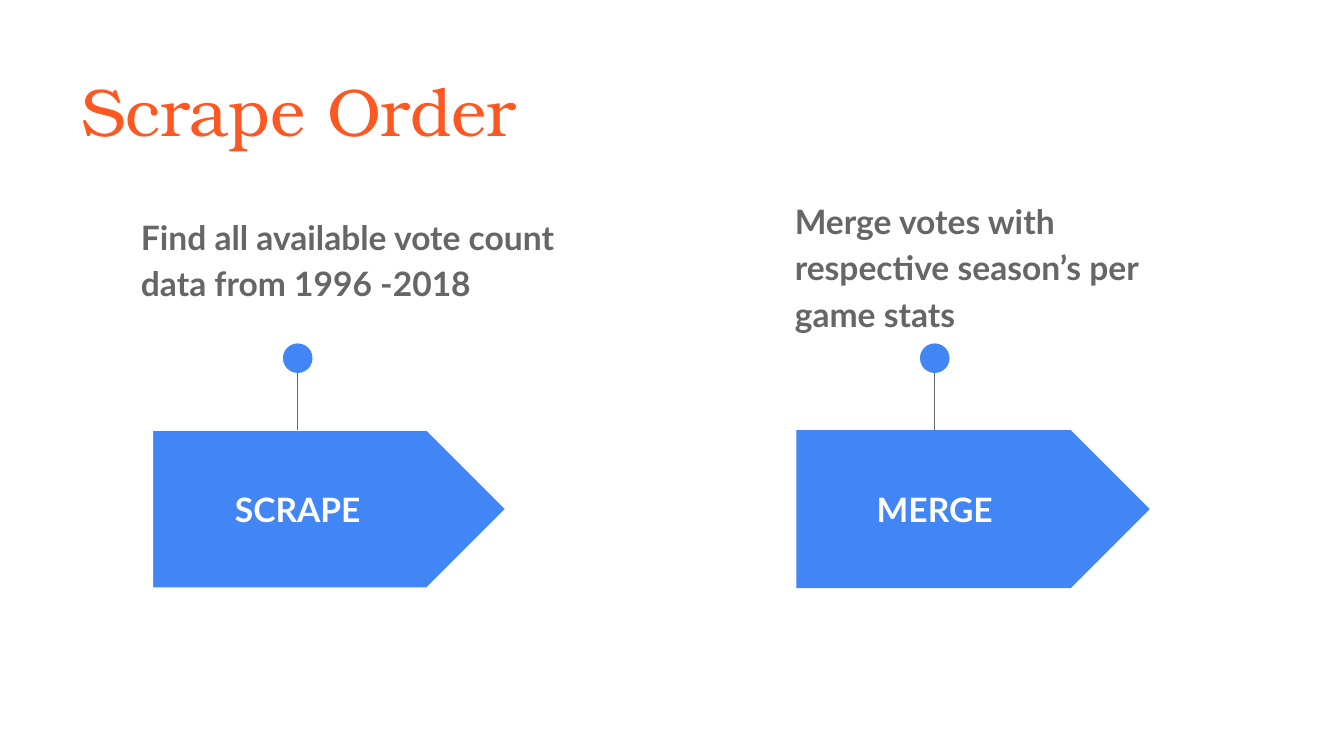
"""Build the Scrape Order slide: two arrow steps, each with a pinned note."""

from dataclasses import dataclass
from typing import Optional

from pptx import Presentation
from pptx.dml.color import RGBColor
from pptx.enum.shapes import MSO_CONNECTOR as Connector, MSO_SHAPE as Shape
from pptx.enum.text import MSO_ANCHOR as Anchor, PP_ALIGN as Align
from pptx.oxml.ns import qn
from pptx.slide import Slide
from pptx.util import Emu, Pt

PX = 4572
SLIDE_WIDTH, SLIDE_HEIGHT = 2000, 1125
BLUE = RGBColor(0x42, 0x85, 0xF4)
GRAY = RGBColor(0x66, 0x66, 0x66)
ORANGE = RGBColor(0xFF, 0x57, 0x22)
WHITE = RGBColor(0xFF, 0xFF, 0xFF)

ARROW_TOP, ARROW_WIDTH, ARROW_HEIGHT = 640, 526, 235
LABEL_TOP, LABEL_WIDTH, LABEL_HEIGHT = 673, 384, 170
PIN_TOP, PIN_SIZE, STEM_TOP = 511, 44, 520
INSET = 20


@dataclass(frozen=True)
class Box:
    left: int
    top: int
    width: int
    height: int

    def emu(self) -> list[Emu]:
        return [px(n) for n in (self.left, self.top, self.width, self.height)]


@dataclass(frozen=True)
class Step:
    label: str
    note: str
    arrow_left: int
    label_left: int
    pin_x: int
    note_box: Box
    outline: Optional[RGBColor] = None


STEPS = [
    Step("SCRAPE", "Find all available vote count data from 1996 -2018",
         227, 251, 443, Box(190, 294, 684, 236), outline=WHITE),
    Step("MERGE", "Merge votes with respective season’s per game stats",
         1185, 1199, 1391, Box(1163, 270, 570, 258)),
]


def px(length: int) -> Emu:
    return Emu(length * PX)


def add_text(slide: Slide, text: str, box: Box, *, color: RGBColor, size: int = 18,
             font: str = "Lato", bold: bool = True, align: Align = Align.LEFT,
             anchor: Anchor = Anchor.TOP, line_spacing: float = 1.0,
             space_after: int = 0) -> None:
    frame = slide.shapes.add_textbox(*box.emu()).text_frame
    frame.word_wrap = True
    frame.vertical_anchor = anchor
    frame.margin_left = frame.margin_right = px(INSET)
    frame.margin_top = frame.margin_bottom = px(INSET)
    paragraph = frame.paragraphs[0]
    paragraph.alignment = align
    paragraph.line_spacing = line_spacing
    paragraph.space_after = Pt(space_after)
    run = paragraph.add_run()
    run.text = text
    run.font.name = font
    run.font.size = Pt(size)
    run.font.bold = bold
    run.font.color.rgb = color


def add_blue_shape(slide: Slide, kind: Shape, box: Box,
                   outline: Optional[RGBColor] = None) -> None:
    shape = slide.shapes.add_shape(kind, *box.emu())
    shape.shadow.inherit = False
    shape.fill.solid()
    shape.fill.fore_color.rgb = BLUE
    if outline is None:
        shape.line.fill.background()
    else:
        shape.line.color.rgb = outline
        shape.line.width = Pt(0.75)


def add_stem(slide: Slide, x: int, top: int, bottom: int) -> None:
    stem = slide.shapes.add_connector(
        Connector.STRAIGHT, px(x), px(top), px(x), px(bottom))
    stem.line.color.rgb = GRAY
    stem.line.width = Pt(0.75)
    properties = stem._element.spPr
    properties.append(properties.makeelement(qn("a:effectLst"), {}))


def add_step(slide: Slide, step: Step) -> None:
    arrow = Box(step.arrow_left, ARROW_TOP, ARROW_WIDTH, ARROW_HEIGHT)
    pin = Box(step.pin_x - PIN_SIZE // 2, PIN_TOP, PIN_SIZE, PIN_SIZE)
    label = Box(step.label_left, LABEL_TOP, LABEL_WIDTH, LABEL_HEIGHT)
    add_blue_shape(slide, Shape.PENTAGON, arrow, step.outline)
    add_stem(slide, step.pin_x, STEM_TOP, ARROW_TOP)
    add_blue_shape(slide, Shape.OVAL, pin)
    add_text(slide, step.note, step.note_box, color=GRAY,
             line_spacing=1.15, space_after=16)
    add_text(slide, step.label, label, color=WHITE,
             align=Align.CENTER, anchor=Anchor.MIDDLE)


def main() -> None:
    presentation = Presentation()
    presentation.slide_width = px(SLIDE_WIDTH)
    presentation.slide_height = px(SLIDE_HEIGHT)
    slide = presentation.slides.add_slide(presentation.slide_layouts[6])
    add_text(slide, "Scrape Order", Box(101, 83, 1556, 198), color=ORANGE,
             size=36, font="TeX Gyre Bonum", bold=False)
    for step in STEPS:
        add_step(slide, step)
    presentation.save("out.pptx")


if __name__ == "__main__":
    main()
